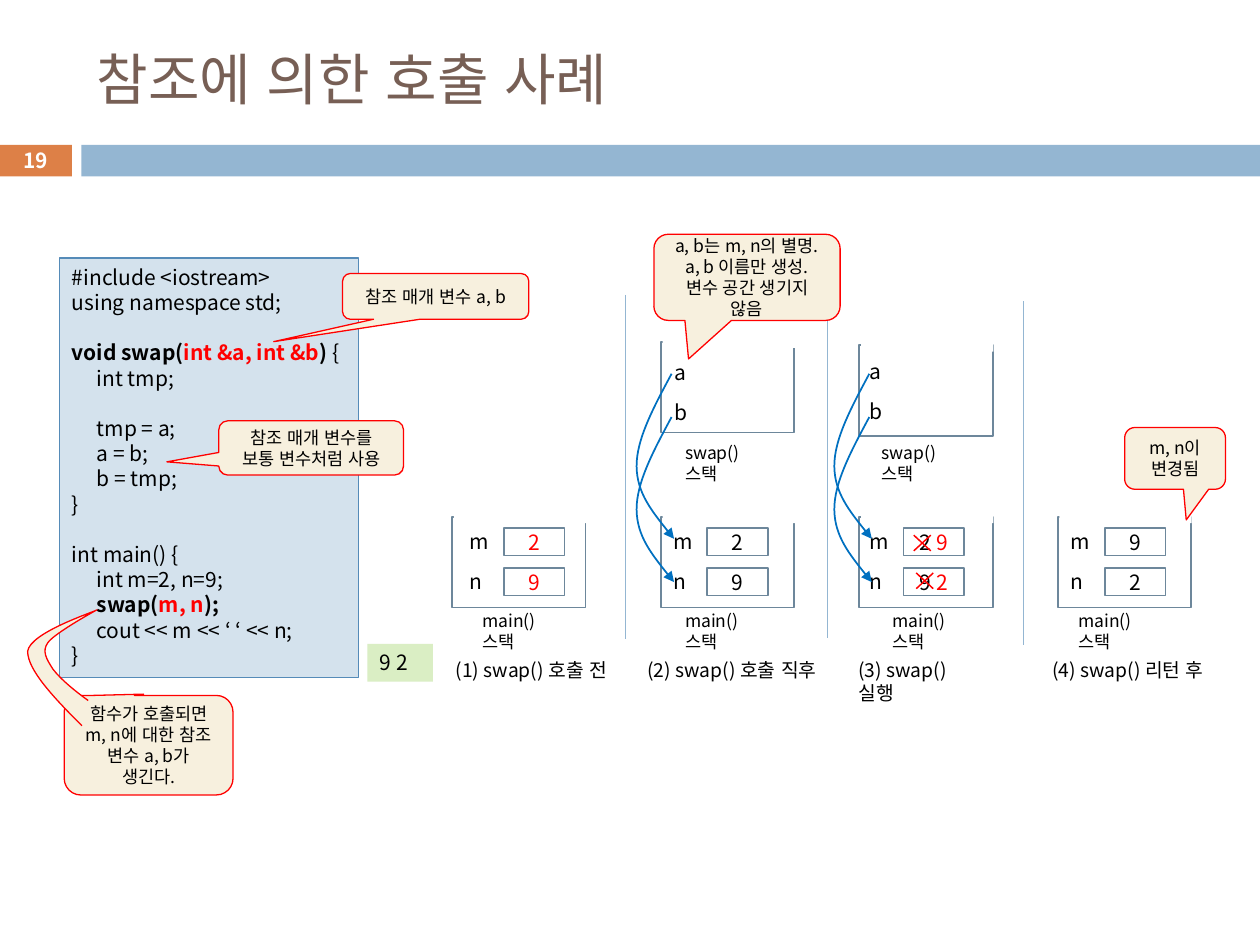
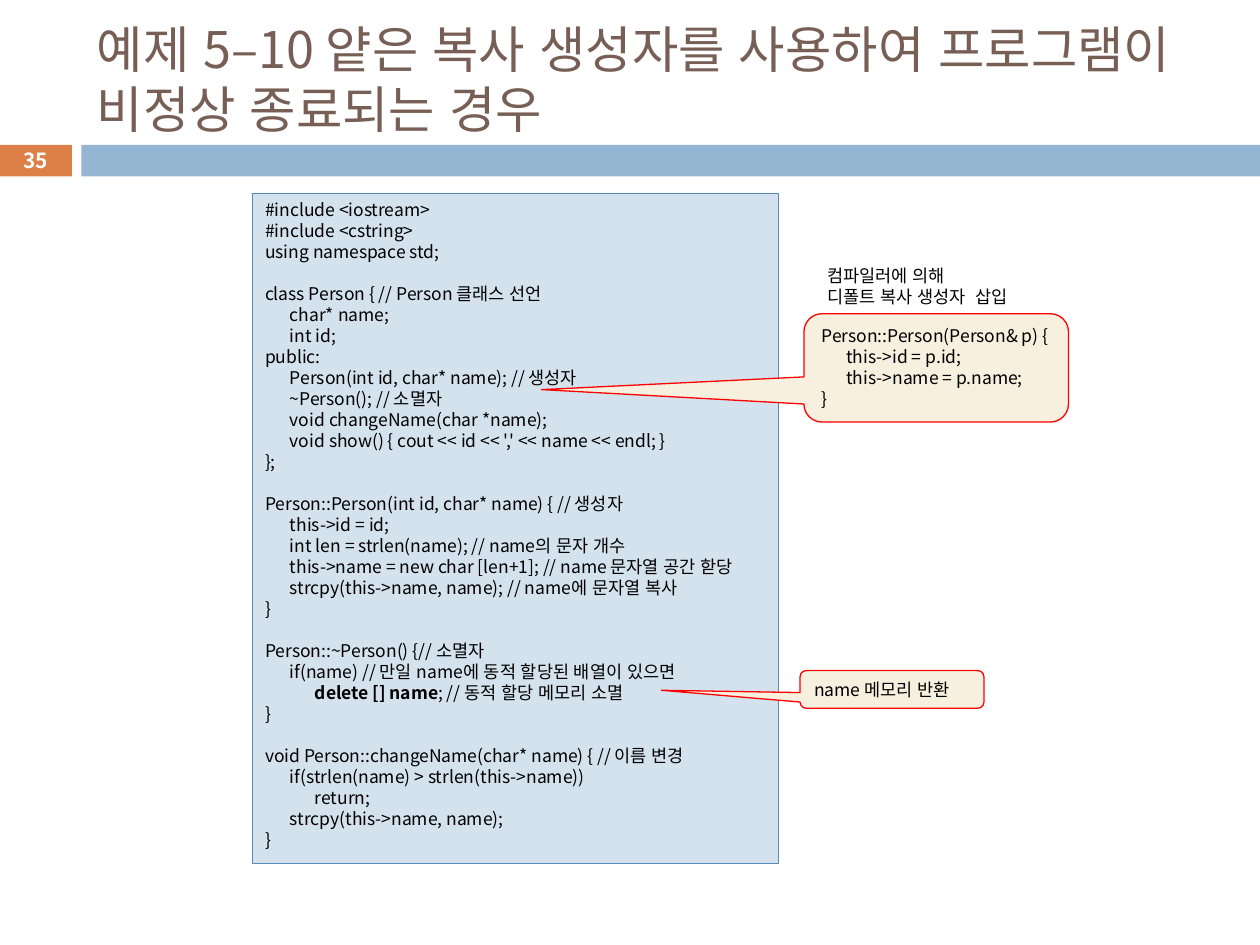
from lxml import etree
from pptx import Presentation
from pptx.dml.color import RGBColor
from pptx.enum.lang import MSO_LANGUAGE_ID
from pptx.enum.shapes import MSO_CONNECTOR, MSO_SHAPE
from pptx.enum.text import MSO_ANCHOR, PP_ALIGN
from pptx.oxml.ns import qn
from pptx.util import Pt

RECT = MSO_SHAPE.RECTANGLE
CALLOUT = MSO_SHAPE.ROUNDED_RECTANGULAR_CALLOUT
CROSS = MSO_SHAPE.MATH_MULTIPLY
STRAIGHT = MSO_CONNECTOR.STRAIGHT
LEFT, CENTER = PP_ALIGN.LEFT, PP_ALIGN.CENTER
TOP, MIDDLE = MSO_ANCHOR.TOP, MSO_ANCHOR.MIDDLE
KOREAN = MSO_LANGUAGE_ID.KOREAN

FONT = "Noto Sans CJK KR"
BLACK = RGBColor(0, 0, 0)
WHITE = RGBColor(0xFF, 0xFF, 0xFF)
RED = RGBColor(0xFF, 0, 0)
BROWN = RGBColor(0x77, 0x5F, 0x55)
ORANGE = RGBColor(0xDD, 0x80, 0x47)
BLUE = RGBColor(0x94, 0xB6, 0xD2)
PALE = RGBColor(0xD4, 0xE2, 0xED)
EDGE = RGBColor(0x55, 0x8B, 0xB8)
SLATE = RGBColor(0x6D, 0x87, 0x9B)
CREAM = RGBColor(0xF7, 0xF0, 0xDE)
GREEN = RGBColor(0xDA, 0xEE, 0xC4)
ARROW = RGBColor(0, 0x70, 0xC0)
TAB = 14.2
LEAD = 1.2

SWAP = [
    "#include <iostream>", "using namespace std;", None,
    [("void swap(", BLACK, True), ("int &a, int &b", RED, True),
     (") ", BLACK, True), ("{", BLACK, False)],
    "\tint tmp;", None, "\ttmp = a;", "\ta = b;", "\tb = tmp;", "}", None,
    "int main() {", "\tint m=2, n=9;",
    [("\t", BLACK, False), ("swap(", BLACK, True), ("m, n", RED, True),
     (");", BLACK, True)],
    "\tcout << m << ‘ ‘ << n;", "}",
]
PERSON = [
    "#include <iostream>", "#include <cstring>", "using namespace std;", None,
    "class Person { // Person 클래스 선언", "\tchar* name;", "\tint id;", "public:",
    "\tPerson(int id, char* name); // 생성자", "\t~Person(); // 소멸자",
    "\tvoid changeName(char *name);",
    "\tvoid show() { cout << id << ',' << name << endl; }", "};", None,
    "Person::Person(int id, char* name) { // 생성자", "\tthis->id = id;",
    "\tint len = strlen(name); // name의 문자 개수",
    "\tthis->name = new char [len+1]; // name 문자열 공간 핟당",
    "\tstrcpy(this->name, name); // name에 문자열 복사", "}", None,
    "Person::~Person() {// 소멸자",
    "\tif(name) // 만일 name에 동적 할당된 배열이 있으면",
    [("\t\t", BLACK, False), ("delete [] name", BLACK, True),
     ("; // 동적 할당 메모리 소멸", BLACK, False)],
    "}", None, "void Person::changeName(char* name) { // 이름 변경",
    "\tif(strlen(name) > strlen(this->name))", "\t\treturn;",
    "\tstrcpy(this->name, name);", "}",
]
COPY = ["Person::Person(Person& p) {", "\tthis->id = p.id;",
        "\tthis->name = p.name;", "}"]


def points(box):
    """Turn numbers into point lengths."""
    return [Pt(v) for v in box]


def paint(shape, fill, line=None, width=None):
    """Set fill and outline and drop the shadow."""
    shape.shadow.inherit = False
    if fill is None:
        shape.fill.background()
    else:
        shape.fill.solid()
        shape.fill.fore_color.rgb = fill
    if line is None:
        shape.line.fill.background()
    else:
        shape.line.color.rgb = line
    if width:
        shape.line.width = Pt(width)


def write(shape, lines, size, align=LEFT, anchor=TOP, color=BLACK, bold=False,
          right=7.2, wrap=True):
    """Fill a shape with lines, where None opens a one-line gap."""
    frame = shape.text_frame
    frame.word_wrap = wrap
    frame.vertical_anchor = anchor
    frame.margin_right = Pt(right)
    para, gap = frame.paragraphs[0], False
    for at, line in enumerate(lines):
        if line is None:
            gap = True
            continue
        if at:
            para = frame.add_paragraph()
        runs = [(line, color, bold)] if isinstance(line, str) else line
        if runs[0][0].startswith("\t"):
            stops = etree.SubElement(para._p.get_or_add_pPr(), qn("a:tabLst"))
            for step in (1, 2):
                etree.SubElement(stops, qn("a:tab"), pos=str(Pt(TAB * step)), algn="l")
        para.alignment = align
        para.line_spacing = Pt(size * LEAD)
        if gap:
            para.space_before = Pt(size * LEAD)
            gap = False
        for text, tone, heavy in runs:
            run = para.add_run()
            run.text = text
            run.font.language_id = KOREAN
            run.font.size = Pt(size)
            run.font.bold = heavy
            run.font.color.rgb = tone
            run.font.name = FONT
            etree.SubElement(run._r.get_or_add_rPr(), qn("a:ea"), typeface=FONT)


def block(slide, box, fill, line=None, width=None, kind=RECT):
    """Add a painted preset shape."""
    shape = slide.shapes.add_shape(kind, *points(box))
    paint(shape, fill, line, width)
    return shape


def label(slide, box, lines, size, **style):
    """Add a text box."""
    write(slide.shapes.add_textbox(*points(box)), lines, size, **style)


def bubble(slide, box, tip, lines, align=CENTER, anchor=MIDDLE, width=0.75):
    """Add a callout whose tip is relative to its centre."""
    shape = block(slide, box, CREAM, RED, width, CALLOUT)
    for at, value in enumerate((*tip, 0.167)):
        shape.adjustments[at] = value
    write(shape, lines, 10, align, anchor)


def panel(slide, box, lines, size):
    """Add a code panel."""
    write(block(slide, box, PALE, EDGE), lines, size, right=0)


def base(deck, title, size, number):
    """Add a slide with its title, bands and number."""
    slide = deck.slides.add_slide(deck.slide_layouts[6])
    block(slide, (-0.7, 82.8, 41.8, 18), ORANGE)
    block(slide, (46.5, 82.8, 673.5, 18), BLUE)
    label(slide, (48.2, 18, 642.2, 53.3), [title], size, anchor=MIDDLE,
          color=BROWN, right=0)
    label(slide, (-0.7, 81.7, 41.8, 19.4), [number], 11.9, align=CENTER,
          anchor=MIDDLE, color=WHITE, bold=True)
    return slide


def stack(slide, x, y, names, left, top, step, tag, under):
    """Draw an open-topped stack with its names and its tag."""
    group = slide.shapes.add_group_shape()
    block(group, (x, y, 76.3, 51.8), WHITE, SLATE, 1)
    block(group, (x + 1, y - 2.9, 75.6, 6.5), WHITE)
    for row, name in enumerate(names):
        label(slide, (left, y + top + row * step, 38.2, 21.6), [name], 12)
    label(slide, (*under, 67, 19.4), [tag], 10, right=20)


def stage(slide, x, left, tag, cells, note, box):
    """Draw the main stack of one stage with its values and caption."""
    y = 295.4
    stack(slide, x, y, "mn", left, 3.1, 22.9, "main() 스택", (tag, y + 49.5))
    for row, value in enumerate(cells):
        cell = block(slide, (left + 26.6, y + 6.2 + row * 23, 34.6, 15.8),
                     WHITE, SLATE, 1)
        write(cell, [value], 12, CENTER, MIDDLE)
    split = note.endswith("실행")
    label(slide, (*box, 20.9), [note], 11, right=22 if split else 7.2, wrap=split)


def trace(slide, spots, fill, line, width):
    """Draw an open chain of cubic curves, three spots to each."""
    spots = [points(s) for s in spots]
    build = slide.shapes.build_freeform(*spots[0], scale=1.0)
    build.add_line_segments(spots[1:], close=False)
    shape = build.convert_to_shape()
    paint(shape, fill, line, width)
    route = next(shape._element.iter(qn("a:path")))
    legs = route.findall(qn("a:lnTo"))
    for at in range(0, len(legs), 3):
        curve = etree.SubElement(route, qn("a:cubicBezTo"))
        for leg in legs[at:at + 3]:
            curve.append(leg[0])
            route.remove(leg)
    return shape


def link(slide, x, y):
    """Draw a curved arrow from an alias to its variable."""
    spots = [(0, 0), (-10, 18.7), (-20.2, 37.4), (-20, 53),
             (-19.8, 68), (-9.4, 81), (1.4, 94.3)]
    shape = trace(slide, [(x + dx, y + dy) for dx, dy in spots], None, ARROW, 1)
    etree.SubElement(shape.line._get_or_add_ln(), qn("a:tailEnd"), type="triangle")


def rule(slide, x, y):
    """Draw a divider between stages."""
    line = slide.shapes.add_connector(STRAIGHT, *points((x, y, x, y + 196.7)))
    line.line.color.rgb = BLUE
    line.line.width = Pt(0.79)
    etree.SubElement(line._element.spPr, qn("a:effectLst"))


def calls(deck):
    """Build the call by reference slide."""
    slide = base(deck, "참조에 의한 호출 사례", 32, "19")
    panel(slide, (34, 147.5, 170.8, 239.6), SWAP, 12)
    swaps = [(377.6, 195.3, 378.2, 6.7, 384.5), (491, 197.3, 489.6, 4.3, 496.8)]
    for x, y, left, top, tag in swaps:
        stack(slide, x, y, "ab", left, top, 22.5, "swap() 스택", (tag, 249.1))
    red = [[(v, RED, False)] for v in "29"]
    swapped = [[(a + " ", BLACK, False), (b, RED, False)] for a, b in ("29", "92")]
    stages = [
        (258.3, 261.4, 268.6, red, "(1) swap() 호출 전", (253.4, 372.7, 105.1)),
        (377.6, 377.6, 384.5, "29", "(2) swap() 호출 직후", (362.9, 372.7, 115.9)),
        (491, 489.7, 503, swapped, "(3) swap() 실행", (483.4, 372.7, 90)),
        (604.4, 604.8, 609.1, "92", "(4) swap() 리턴 후", (594.3, 372.7, 105.1)),
    ]
    for item in stages:
        stage(slide, *item)
    for x, y in ((357.4, 168.5), (473, 168), (585, 172.1)):
        rule(slide, x, y)
    for x, y in ((517.7, 301.7), (519.1, 323.3)):
        block(slide, (x, y, 18.7, 17.3), RED, kind=CROSS).adjustments[0] = 0.048
    bubble(slide, (373.7, 133.9, 106.4, 49.2), (-0.314, 0.948),
           ["a, b는 m, n의 별명.", "a, b 이름만 생성.", "변수 공간 생기지 않음"])
    bubble(slide, (642.7, 244.3, 57.6, 35.3), (0.111, 0.997), ["m, n이 변경됨"])
    for x in (383.8, 496.8):
        for y in (213.6, 238.3):
            link(slide, x, y)
    bubble(slide, (195.8, 156.3, 106.4, 26.1), (-0.87, 0.991), ["참조 매개 변수 a, b"])
    bubble(slide, (125, 240.5, 105.6, 31), (-0.781, 0.256),
           ["참조 매개 변수를 보통 변수처럼 사용"])
    bubble(slide, (36.7, 397.4, 96.5, 56.9), (-0.03, -0.513),
           ["함수가 호출되면 m, n에 대한 참조 변수 a, b가 생긴다."])
    horn = [(46.8, 414.7), (31, 398.9), (15.8, 383), (15.8, 372.2),
            (17.3, 361.4), (53.3, 349.9), (55.4, 348.5),
            (55.4, 348.5), (31.7, 361.4), (27.4, 367.2),
            (23.8, 372.2), (26.6, 376.6), (30.2, 382.3),
            (34.6, 388.1), (42.5, 394.6), (50.4, 400.3)]
    trace(slide, horn, CREAM, RED, 0.75)
    write(block(slide, (210, 367.9, 37.4, 21.6), GREEN), ["9 2"], 12)


def person(deck):
    """Build the shallow copy slide."""
    slide = base(deck, "예제 5–10 얕은 복사 생성자를 사용하여 프로그램이 비정상 종료되는 경우",
                 28.8, "35")
    panel(slide, (144.4, 110.4, 300.4, 382.9), PERSON, 10)
    bubble(slide, (459.4, 179.3, 151.2, 61.9), (-1.491, 0.201), COPY, LEFT, TOP, None)
    label(slide, (465.8, 147.9, 139, 31.7),
          ["컴파일러에 의해", "디폴트 복사 생성자  삽입"], 10)
    bubble(slide, (457.2, 383.2, 105.1, 21.6), (-1.254, 0.023), ["name 메모리 반환"],
           LEFT, TOP, None)


def main():
    """Build and save the deck."""
    deck = Presentation()
    deck.slide_width, deck.slide_height = Pt(720), Pt(540)
    calls(deck)
    person(deck)
    deck.save("out.pptx")


if __name__ == "__main__":
    main()
